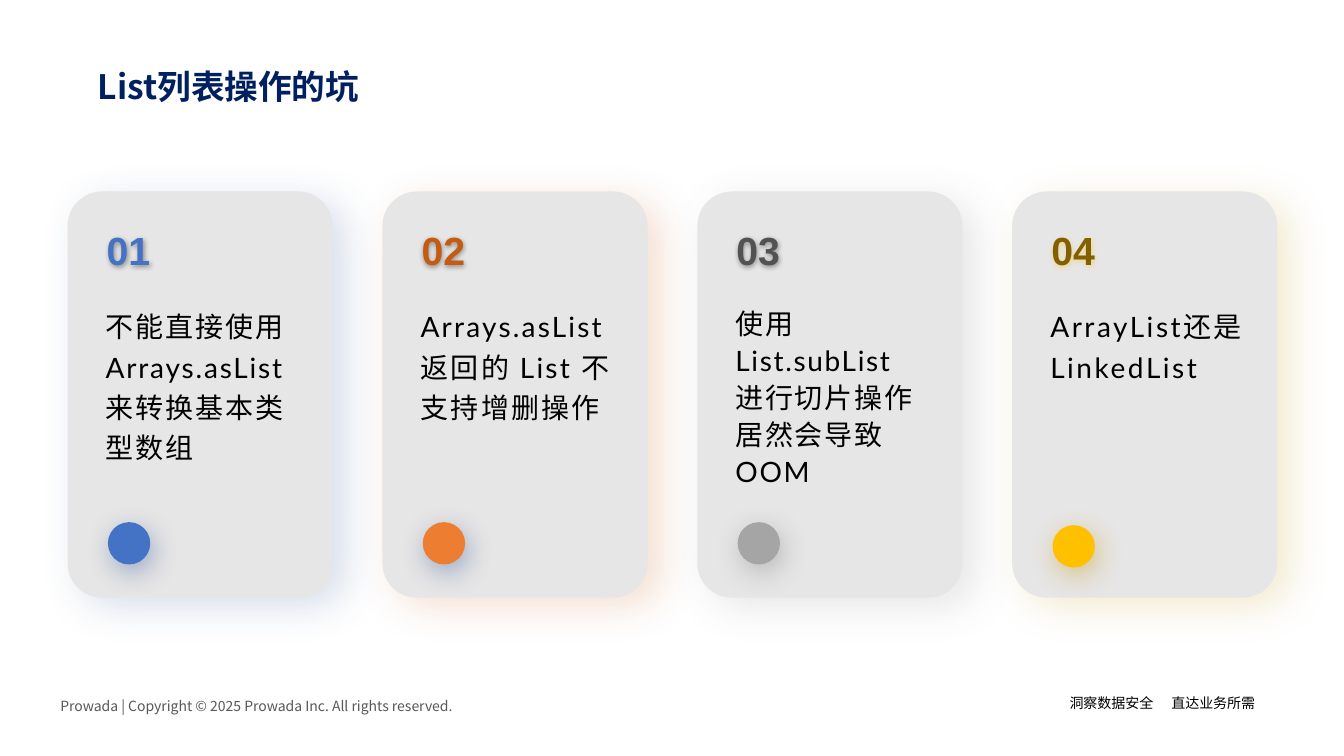
from dataclasses import dataclass

import pptx
import pptx.dml.color
import pptx.enum.shapes
import pptx.enum.text
import pptx.oxml
import pptx.oxml.ns
import pptx.util
from pptx.util import Inches

SHAPE = pptx.enum.shapes.MSO_SHAPE
ANCHOR = pptx.enum.text.MSO_ANCHOR


@dataclass(frozen=True)
class Theme:
    title_color: str = "002060"
    text_color: str = "000000"
    copyright_color: str = "595757"
    card_color: str = "E7E6E6"
    title_size: int = 24
    number_size: int = 28
    body_size: int = 20
    footer_size: int = 10
    title_font: str = "Noto Sans CJK JP"
    cjk_font: str = "Noto Sans CJK SC"
    number_font: str = "Arial"
    body_font: str = "Lato"


@dataclass(frozen=True)
class Card:
    number: str
    text: str
    number_color: str
    dot_color: str
    shadow: str
    dot_shadow: str
    number_shadow: str = "000000"
    line_spacing: float = 1.2
    tracking: int = 130
    dot_top: float = 3.28


THEME = Theme()
CARDS = [
    Card("01", "不能直接使用 Arrays.asList 来转换基本类型数组",
         "4472C4", "4472C4", "2F5597", "2F5597"),
    Card("02", "Arrays.asList 返回的 List 不支持增删操作",
         "C55A11", "ED7D31", "C55A11", "2F5597", tracking=160),
    Card("03", "使用 List.subList 进行切片操作居然会导致 OOM",
         "525252", "A5A5A5", "7C7C7C", "7C7C7C", line_spacing=1.1, tracking=120),
    Card("04", "ArrayList还是LinkedList",
         "806000", "FFC000", "BF9000", "BF9000", number_shadow="FFC000",
         tracking=180, dot_top=3.31),
]


def rgb(color):
    return pptx.dml.color.RGBColor.from_string(color)


def add_shadow(sp, color, alpha, blur, dist, angle):
    """Give a shape a soft outer shadow: alpha in percent, lengths in points."""
    sp.shadow.inherit = False
    effects = sp._element.spPr.find(pptx.oxml.ns.qn("a:effectLst"))
    effects.append(pptx.oxml.parse_xml(
        f'<a:outerShdw {pptx.oxml.ns.nsdecls("a")} blurRad="{pptx.util.Pt(blur)}" '
        f'dist="{pptx.util.Pt(dist)}" dir="{angle * 60000}" algn="tl" rotWithShape="0">'
        f'<a:srgbClr val="{color}"><a:alpha val="{alpha * 1000}"/></a:srgbClr></a:outerShdw>'))


def add_run(p, text, size, color, font, cjk_font=THEME.cjk_font, bold=False, tracking=0):
    """Add a run; tracking is in hundredths of a point."""
    r = p.add_run()
    r.text = text
    r.font.size = pptx.util.Pt(size)
    r.font.bold = bold
    r.font.color.rgb = rgb(color)
    r.font.name = font
    rPr = r._r.get_or_add_rPr()
    rPr.append(pptx.oxml.parse_xml(
        f'<a:ea {pptx.oxml.ns.nsdecls("a")} typeface="{cjk_font}"/>'))
    if tracking:
        rPr.set("spc", str(tracking))


def add_text_box(s, left, top, width, height):
    sp = s.shapes.add_textbox(Inches(left), Inches(top), Inches(width), Inches(height))
    sp.text_frame.word_wrap = True
    return sp


def add_filled(s, kind, left, top, width, height, color):
    sp = s.shapes.add_shape(kind, Inches(left), Inches(top), Inches(width), Inches(height))
    sp.fill.solid()
    sp.fill.fore_color.rgb = rgb(color)
    sp.line.fill.background()
    return sp


def add_title(s, text, left, top, width, height):
    sp = s.shapes.title
    sp.left, sp.top = Inches(left), Inches(top)
    sp.width, sp.height = Inches(width), Inches(height)
    tf = sp.text_frame
    tf.auto_size = pptx.enum.text.MSO_AUTO_SIZE.NONE
    tf.vertical_anchor = ANCHOR.TOP
    p = tf.paragraphs[0]
    p.alignment = pptx.enum.text.PP_ALIGN.LEFT
    add_run(p, text, THEME.title_size, THEME.title_color,
            THEME.title_font, THEME.title_font, bold=True)


def add_card(s, card, left, top, width, height):
    panel = add_filled(s, SHAPE.ROUNDED_RECTANGLE, left, top, width, height, THEME.card_color)
    panel.adjustments[0] = 0.13
    add_shadow(panel, card.shadow, 18, 29, 11, 33)

    number = add_text_box(s, left + 0.29, top + 0.3, 1, 0.81)
    add_shadow(number, card.number_shadow, 40, 4, 1, 45)
    add_run(number.text_frame.paragraphs[0], card.number, THEME.number_size,
            card.number_color, THEME.number_font, bold=True)

    body = add_text_box(s, left + 0.28, top + 1.06, 2.1, 2.07)
    p = body.text_frame.paragraphs[0]
    p.line_spacing = card.line_spacing
    p.space_after = pptx.util.Pt(8)
    add_run(p, card.text, THEME.body_size, THEME.text_color,
            THEME.body_font, tracking=card.tracking)

    dot = add_filled(s, SHAPE.OVAL, left + 0.4, top + card.dot_top, 0.42, 0.42, card.dot_color)
    add_shadow(dot, card.dot_shadow, 41, 20, 6, 67)


def add_footer(s, left, top, width, height):
    notice = add_text_box(s, left, top, 4.59, height)
    notice.text_frame.vertical_anchor = ANCHOR.BOTTOM
    p = notice.text_frame.paragraphs[0]
    p.line_spacing = 0.9
    add_run(p, "Prowada | Copyright © 2025 Prowada Inc. All rights reserved.",
            THEME.footer_size, THEME.copyright_color, THEME.cjk_font)

    slogan_width = 2.13
    slogan = add_text_box(s, left + width - slogan_width, top + 0.05, slogan_width, 0.27)
    p = slogan.text_frame.paragraphs[0]
    p._p.get_or_add_pPr().append(pptx.oxml.parse_xml(
        f'<a:tabLst {pptx.oxml.ns.nsdecls("a")}>'
        f'<a:tab pos="{Inches(1.01)}" algn="l"/></a:tabLst>'))
    add_run(p, "洞察数据安全\t直达业务所需",
            THEME.footer_size, THEME.text_color, THEME.cjk_font)


def main():
    prs = pptx.Presentation()
    prs.slide_width, prs.slide_height = Inches(13.33), Inches(7.5)
    s = prs.slides.add_slide(prs.slide_layouts[5])
    add_footer(s, 0.5, 6.79, 12.14, 0.35)
    card_left, card_pitch = 0.67, 3.123
    for i, card in enumerate(CARDS):
        add_card(s, card, card_left + i * card_pitch, 1.9, 2.63, 4.03)
    add_title(s, "List列表操作的坑", 0.87, 0.6, 4.24, 0.5)
    prs.save("out.pptx")


if __name__ == "__main__":
    main()
